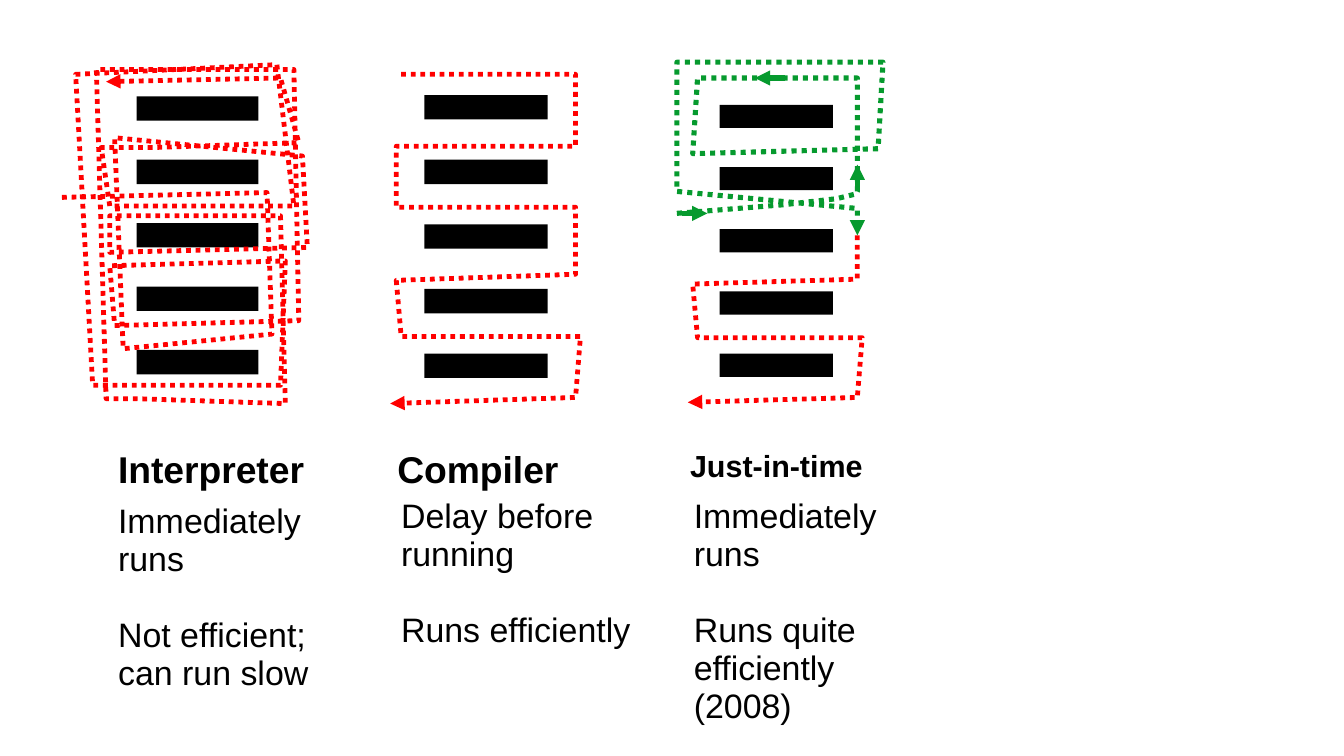
from lxml.etree import SubElement
from pptx import Presentation
from pptx.dml.color import RGBColor
from pptx.enum.dml import MSO_LINE
from pptx.enum.shapes import MSO_CONNECTOR, MSO_SHAPE
from pptx.oxml.ns import qn
from pptx.util import Inches, Pt

BLACK = RGBColor(0, 0, 0)
RED = RGBColor(0xFF, 0, 0)
GREEN = RGBColor(0x06, 0x9A, 0x2E)

LOOPS = [
    (0.4, 0.14), (1.83, 0.11), (1.98, 0.64), (0.79, 0.68), (0.36, 0.68),
    (0.43, 1.16), (1.94, 1.16), (1.8, 0), (0.15, 0.08), (0.29, 2.63),
    (1.83, 2.63), (1.87, 1.61), (0.43, 1.65), (0.47, 2.14), (1.98, 2.1),
    (1.94, 0.04), (0.32, 0.04), (0.4, 2.74), (0.65, 2.74), (1.87, 2.78),
    (1.83, 1.24), (0.43, 1.24), (0.43, 1.54), (2.05, 1.5), (2.01, 0.75),
    (0.47, 0.6), (0.54, 2.33), (1.76, 2.21), (1.72, 1.05), (0, 1.09),
]
SNAKE = [
    (0.09, 0), (1.52, 0), (1.52, 0.59), (0.05, 0.59), (0.05, 1.09),
    (1.52, 1.09), (1.52, 1.64), (0.05, 1.69), (0.09, 2.15), (1.56, 2.15),
    (1.52, 2.65), (0, 2.7),
]
REST = [
    (1.48, 1.42), (1.48, 1.78), (0.13, 1.82), (0.17, 2.26), (1.52, 2.26),
    (1.48, 2.75), (0.09, 2.79),
]
WARM = [
    (0, 1.24), (0.87, 1.17), (1.31, 1.12), (1.47, 1.08), (1.48, 1.06),
    (1.48, 0.13), (0.17, 0.13), (0.13, 0.75), (1.65, 0.71), (1.69, 0),
    (0, 0), (0, 1.06), (1.48, 1.2), (1.48, 1.42),
]
ARROWS = [
    ((0.89, 0.13), (0.64, 0.13)),
    ((0.04, 1.24), (0.25, 1.24)),
    ((1.48, 1.02), (1.48, 0.84)),
]


def style_line(line, color, width, end):
    line.color.rgb = color
    line.width = Pt(width)
    SubElement(line._get_or_add_ln(), qn(f"a:{end}End"), type="triangle")


def add_bars(group, left, top, width, height, pitch):
    for row in range(5):
        bar = group.shapes.add_shape(
            MSO_SHAPE.RECTANGLE, Inches(left), Inches(top + row * pitch),
            Inches(width), Inches(height))
        bar.shadow.inherit = False
        bar.fill.solid()
        bar.fill.fore_color.rgb = BLACK
        bar.line.fill.background()


def add_trail(group, left, top, points, color=RED, width=2.83, end="tail"):
    spots = [(Inches(left + x), Inches(top + y)) for x, y in points]
    pen = group.shapes.build_freeform(*spots[0])
    pen.add_line_segments(spots[1:], close=False)
    trail = pen.convert_to_shape()
    trail.shadow.inherit = False
    trail.fill.background()
    trail.line.dash_style = MSO_LINE.ROUND_DOT
    style_line(trail.line, color, width, end)


def add_arrow(group, left, top, start, stop):
    ends = [Inches(v) for x, y in (start, stop) for v in (left + x, top + y)]
    arrow = group.shapes.add_connector(MSO_CONNECTOR.STRAIGHT, *ends)
    style_line(arrow.line, GREEN, 3, "tail")
    SubElement(arrow._element.spPr, qn("a:effectLst"))


def add_text(slide, text, left, top, width, height, size=20, bold=False,
             gap=None):
    box = slide.shapes.add_textbox(
        Inches(left), Inches(top), Inches(width), Inches(height))
    frame = box.text_frame
    frame.word_wrap = True
    frame.margin_top = Inches(0.07)
    frame.text = text
    for index, para in enumerate(frame.paragraphs):
        para.line_spacing = 0.93
        para.font.name = "Arial"
        para.font.size = Pt(size)
        para.font.bold = bold
        para.font.color.rgb = BLACK
        if index == gap:
            para.space_before = Pt(22.3)


def draw_slow(slide, left, top):
    group = slide.shapes.add_group_shape()
    add_bars(group, left + 0.65, top + 0.26, 1, 0.2, 0.52)
    add_trail(group, left, top, LOOPS, end="head")
    add_text(slide, "Interpreter", left + 0.4, top + 3.09, 1.9, 0.44,
             size=22, bold=True)
    add_text(slide, "Immediately\nruns\nNot efficient;\ncan run slow",
             left + 0.4, top + 3.53, 1.97, 1.65, gap=2)


def draw_fast(slide, left, top):
    group = slide.shapes.add_group_shape()
    add_bars(group, left + 0.28, top + 0.17, 1.01, 0.2, 0.53)
    add_trail(group, left, top, SNAKE)
    add_text(slide, "Compiler", left - 0.04, top + 3.01, 1.72, 0.44,
             size=22, bold=True)
    add_text(slide, "Delay before running\nRuns efficiently",
             left - 0.01, top + 3.41, 2.13, 1.65, gap=1)


def draw_mixed(slide, left, top):
    group = slide.shapes.add_group_shape()
    add_bars(group, left + 0.35, top + 0.35, 0.93, 0.19, 0.51)
    add_trail(group, left, top, REST)
    add_trail(group, left, top, WARM, color=GREEN, width=3)
    for start, stop in ARROWS:
        add_arrow(group, left, top, start, stop)
    add_text(slide, "Just-in-time", left + 0.01, top + 3.11, 1.8, 0.44,
             size=18, bold=True)
    add_text(slide, "Immediately\nruns\nRuns quite efficiently\n(2008)",
             left + 0.04, top + 3.51, 1.81, 1.96, gap=2)


def main():
    deck = Presentation()
    deck.slide_width = Inches(11.02)
    deck.slide_height = Inches(6.2)
    slide = deck.slides.add_slide(deck.slide_layouts[6])
    draw_slow(slide, 0.47, 0.53)
    draw_fast(slide, 3.2, 0.61)
    draw_mixed(slide, 5.55, 0.51)
    deck.save("out.pptx")


if __name__ == "__main__":
    main()
